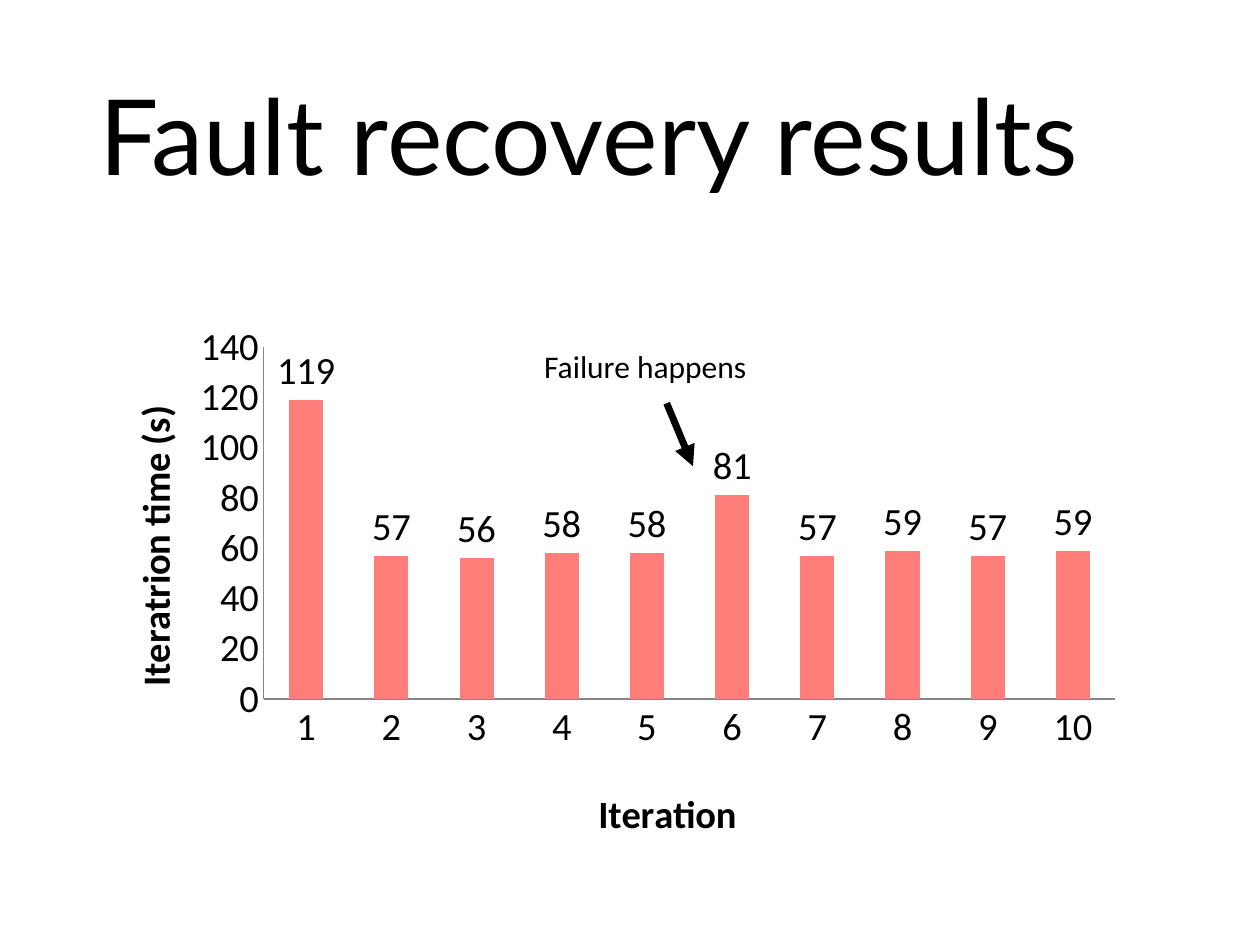
from lxml import etree
from pptx import Presentation
from pptx import util as u
from pptx.chart.data import CategoryChartData
from pptx.dml.color import RGBColor
from pptx.enum import chart as charts, shapes, text
from pptx.oxml import parse_xml
from pptx.oxml.ns import nsdecls, qn

COLORS = {"ink": "000000", "bar": "FF7E79", "axis": "868686"}
TITLE = "Fault recovery results"
NOTE = "Failure happens"
TIMES = [119, 57, 56, 58, 58, 81, 57, 59, 57, 59]
AXIS_TITLES = {"category": "Iteration", "value": "Iteratrion time (s)"}
TITLE_PLACES = {"category": {"x": 0.48, "y": 0.86}, "value": {"x": 0.05, "y": 0.2}}
PLOT_PLACE = {"x": 0.18, "y": 0.11, "w": 0.78, "h": 0.61}

TITLE_BOX = (1.75, 1.02, 21.9, 3.68)
CHART_BOX = (1.35, 5.72, 22.02, 11.63)
NOTE_BOX = (10.72, 6.88, 4.7, 1.02)
ARROW = (13.44, 8.13, 13.97, 9.4)


def lengths(values):
    """Turn centimetre numbers into lengths."""
    return [u.Cm(value) for value in values]


def set_font(font, size, name="Calibri", bold=False):
    """Format a font in the ink colour."""
    font.size, font.name, font.bold = u.Pt(size), name, bold
    font.color.rgb = RGBColor.from_string(COLORS["ink"])


def add_text(slide, box, content, size, name="Calibri", wrap=True,
             anchor=text.MSO_ANCHOR.TOP, spacing=None):
    """Add a text box with one formatted paragraph."""
    frame = slide.shapes.add_textbox(*lengths(box)).text_frame
    frame.word_wrap, frame.vertical_anchor = wrap, anchor
    paragraph = frame.paragraphs[0]
    paragraph.line_spacing = spacing
    run = paragraph.add_run()
    run.text = content
    set_font(run.font, size, name)


def manual_layout(place, inner=False):
    """Build a chart layout element from fractions of the chart area."""
    target = '<c:layoutTarget val="inner"/>' if inner else ""
    modes = '<c:xMode val="edge"/><c:yMode val="edge"/>'
    numbers = "".join(f'<c:{key} val="{value}"/>' for key, value in place.items())
    return parse_xml(f'<c:layout {nsdecls("c")}><c:manualLayout>{target}{modes}'
                     f'{numbers}</c:manualLayout></c:layout>')


def format_axis(axis, kind):
    """Style an axis and place its title."""
    axis.has_major_gridlines = False
    axis.major_tick_mark = axis.minor_tick_mark = charts.XL_TICK_MARK.NONE
    axis.format.line.color.rgb = RGBColor.from_string(COLORS["axis"])
    axis.format.line.width = u.Pt(0.75)
    set_font(axis.tick_labels.font, 22)
    run = axis.axis_title.text_frame.paragraphs[0].add_run()
    run.text = AXIS_TITLES[kind]
    set_font(run.font, 22, bold=True)
    title = axis.axis_title._element
    for layout in title.findall(qn("c:layout")):
        title.remove(layout)
    title.find(qn("c:tx")).addnext(manual_layout(TITLE_PLACES[kind]))


def add_time_chart(slide):
    """Add the column chart of iteration times."""
    data = CategoryChartData(number_format="#,##0")
    data.categories = [str(number) for number in range(1, len(TIMES) + 1)]
    data.add_series("Series 1", TIMES)
    chart = slide.shapes.add_chart(charts.XL_CHART_TYPE.COLUMN_CLUSTERED,
                                   *lengths(CHART_BOX), data).chart
    chart.has_legend = chart.has_title = False
    set_font(chart.font, 22)
    format_axis(chart.category_axis, "category")
    format_axis(chart.value_axis, "value")
    axis = chart.value_axis
    axis.minimum_scale, axis.maximum_scale, axis.major_unit = 0, 140, 20
    rotation = axis.axis_title.text_frame._txBody.find(qn("a:bodyPr"))
    rotation.set("rot", "-5400000")
    rotation.set("vert", "horz")

    plot = chart.plots[0]
    plot.gap_width, plot.vary_by_categories = 150, False
    fill = plot.series[0].format.fill
    fill.solid()
    fill.fore_color.rgb = RGBColor.from_string(COLORS["bar"])
    plot.has_data_labels = True
    labels = plot.data_labels
    labels.show_value = True
    labels.number_format, labels.number_format_is_linked = "#,##0", False
    labels.position = charts.XL_LABEL_POSITION.OUTSIDE_END
    set_font(labels.font, 22)

    area = chart._chartSpace.chart.plotArea
    for layout in area.findall(qn("c:layout")):
        area.remove(layout)
    area.insert(0, manual_layout(PLOT_PLACE, inner=True))


def add_arrow(slide):
    """Add the arrow from the note to the failed iteration."""
    arrow = slide.shapes.add_connector(shapes.MSO_CONNECTOR.STRAIGHT, *lengths(ARROW))
    arrow.line.width = u.Pt(4)
    arrow.line.color.rgb = RGBColor.from_string(COLORS["ink"])
    etree.SubElement(arrow.line._get_or_add_ln(), qn("a:tailEnd"), type="triangle")
    etree.SubElement(arrow._element.spPr, qn("a:effectLst"))


presentation = Presentation()
presentation.slide_width, presentation.slide_height = lengths((25.4, 19.05))
slide = presentation.slides.add_slide(presentation.slide_layouts[6])
add_text(slide, TITLE_BOX, TITLE, 60, name="Lato",
         anchor=text.MSO_ANCHOR.MIDDLE, spacing=0.9)
add_time_chart(slide)
add_arrow(slide)
add_text(slide, NOTE_BOX, NOTE, 18, wrap=False)
presentation.save("out.pptx")
